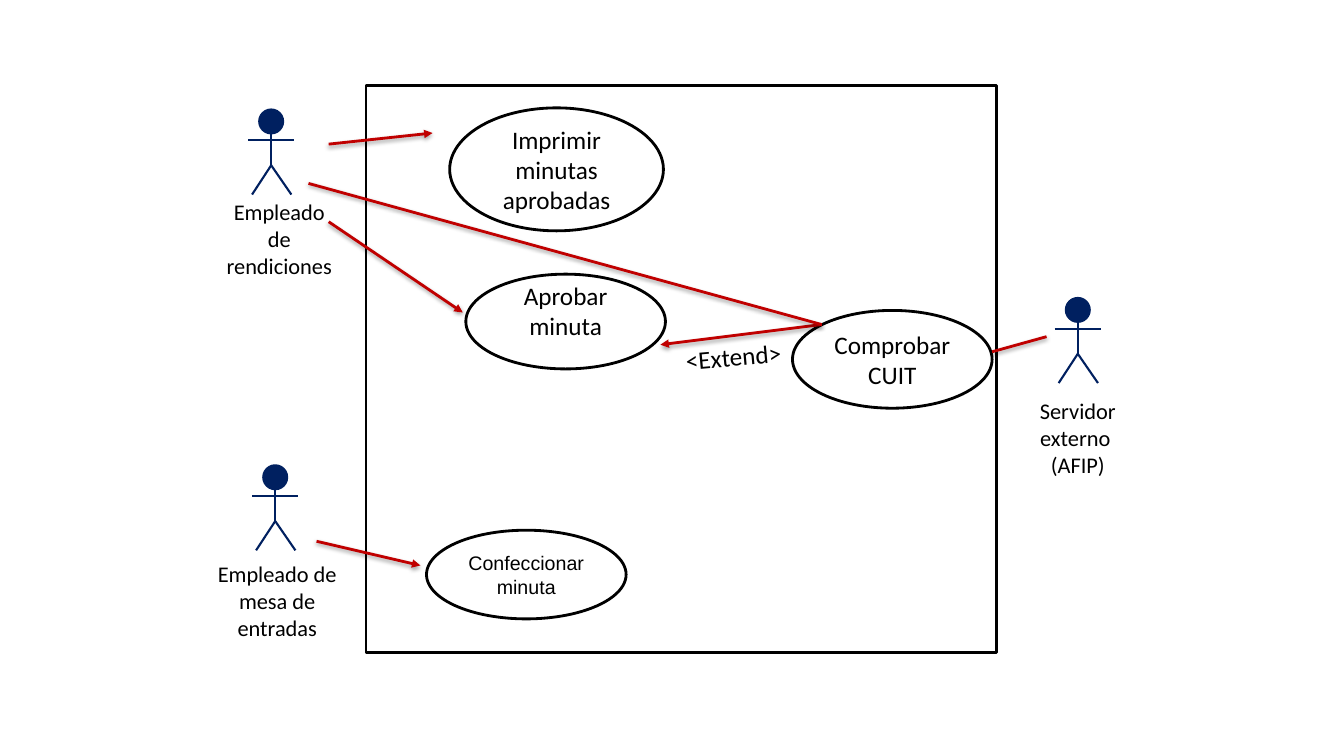
from dataclasses import dataclass
from pptx import Presentation
from pptx.dml.color import RGBColor as RGB
from pptx.enum.shapes import MSO_CONNECTOR as Link, MSO_SHAPE as Form
from pptx.enum.text import MSO_ANCHOR as Anchor, PP_ALIGN as Align
from pptx.oxml import parse_xml
from pptx.oxml.ns import nsdecls, qn
from pptx.util import Inches, Pt


@dataclass(frozen=True)
class Theme:
    ink: RGB = RGB(0, 0, 0)
    paper: RGB = RGB(255, 255, 255)
    navy: RGB = RGB(0x00, 0x20, 0x60)
    red: RGB = RGB(0xC0, 0, 0)
    case: int = 18
    role: int = 16
    small: int = 14
    body: str = "Calibri"
    plain: str = "Arial"
    edge: float = 2
    limb: float = 1.5


T = Theme()
SHADE = (
    '<a:outerShdw blurRad="39370" dist="20320" dir="5400000" rotWithShape="0">'
    '<a:srgbClr val="000000"><a:alpha val="37000"/></a:srgbClr></a:outerShdw>'
)


def put(item, **values):
    for name, value in values.items():
        setattr(item, name, value)


def write(shape, text, size, font=T.body, align=Align.CENTER, **frame):
    put(shape.text_frame, word_wrap=True, **frame)
    shape.text_frame.text = text
    for para in shape.text_frame.paragraphs:
        para.alignment = align
        put(para.font, size=Pt(size), name=font)
        para.font.color.rgb = T.ink


def draw(shapes, form, box, fill, edge):
    shape = shapes.add_shape(form, *map(Inches, box))
    shape.shadow.inherit = False
    shape.fill.solid()
    shape.fill.fore_color.rgb = fill
    shape.line.color.rgb = edge
    shape.line.width = Pt(T.edge)
    return shape


def link(shapes, start, end, color, width, shade="", head=False):
    line = shapes.add_connector(Link.STRAIGHT, *map(Inches, start + end))
    line.line.color.rgb = color
    line.line.width = Pt(width)
    props = line.element.spPr
    if head:
        tip = parse_xml(f'<a:tailEnd {nsdecls("a")} type="triangle"/>')
        props.find(qn("a:ln")).append(tip)
    props.append(parse_xml(f'<a:effectLst {nsdecls("a")}>{shade}</a:effectLst>'))


def label(shapes, box, text, size, align=Align.CENTER, turn=0):
    note = shapes.add_textbox(*map(Inches, box))
    note.rotation = turn
    write(note, text, size, align=align)


def actor(shapes, x, y):
    parts = shapes.add_group_shape().shapes
    draw(parts, Form.OVAL, (x - 0.115, y, 0.23, 0.23), T.navy, T.navy)
    hip = (x, y + 0.55)
    limbs = [
        ((x, y + 0.23), hip),
        ((x - 0.23, y + 0.3), (x + 0.23, y + 0.3)),
        (hip, (x + 0.2, y + 0.84)),
        (hip, (x - 0.19, y + 0.84)),
    ]
    for start, end in limbs:
        link(parts, start, end, T.navy, T.limb)


def oval(shapes, box, text, size=T.case, font=T.body, foot=0.05):
    shape = draw(shapes, Form.OVAL, box, T.paper, T.ink)
    write(shape, text, size, font,
          vertical_anchor=Anchor.MIDDLE, margin_bottom=Inches(foot))


def roles(shapes):
    people = [
        ((2.69, 1.09), (2.13, 1.92, 1.28, 0.91), "Empleado de rendiciones"),
        ((2.73, 4.62), (2.06, 5.51, 1.38, 0.91), "Empleado de mesa de entradas"),
        ((10.69, 2.96), (10.1, 3.89, 1.18, 0.91), "Servidor externo \n(AFIP)"),
    ]
    for spot, box, text in people:
        actor(shapes, *spot)
        label(shapes, box, text, T.role)


def cases(shapes):
    oval(shapes, (4.46, 1.07, 2.12, 1.22), "Imprimir minutas aprobadas")
    oval(shapes, (7.86, 3.08, 1.98, 0.97), "Comprobar CUIT")
    oval(shapes, (4.62, 2.72, 1.98, 0.94), "Aprobar minuta", foot=0.27)
    oval(shapes, (4.23, 5.26, 1.98, 0.88), "Confeccionar minuta", T.small, T.plain)


def links(shapes):
    label(shapes, (6.7, 3.33, 1.31, 0.4), "<Extend>", T.case, Align.LEFT, 355)
    check = (8.15, 3.22)
    routes = [
        ((3.14, 5.37), (4.17, 5.61), True),
        (check, (6.55, 3.42), True),
        ((9.84, 3.49), (10.38, 3.34), False),
        ((3.26, 1.43), (4.29, 1.32), True),
        ((3.26, 2.2), (4.59, 3.1), True),
        ((3.06, 1.82), check, False),
    ]
    for start, end, head in routes:
        link(shapes, start, end, T.red, T.edge, SHADE, head)


def main():
    deck = Presentation()
    put(deck, slide_width=Inches(13.33), slide_height=Inches(7.5))
    shapes = deck.slides.add_slide(deck.slide_layouts[6]).shapes
    draw(shapes, Form.RECTANGLE, (3.63, 0.85, 6.25, 5.62), T.paper, T.ink)
    roles(shapes)
    cases(shapes)
    links(shapes)
    deck.save("out.pptx")


if __name__ == "__main__":
    main()
